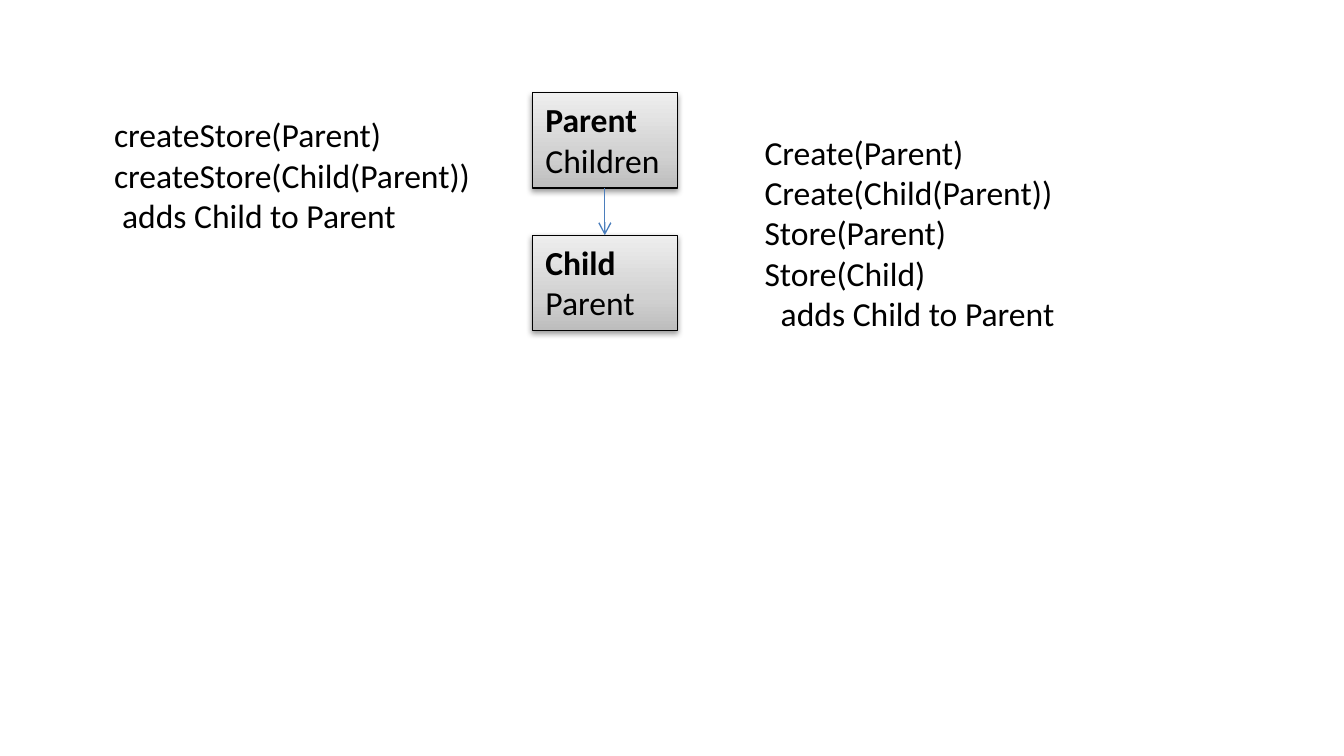
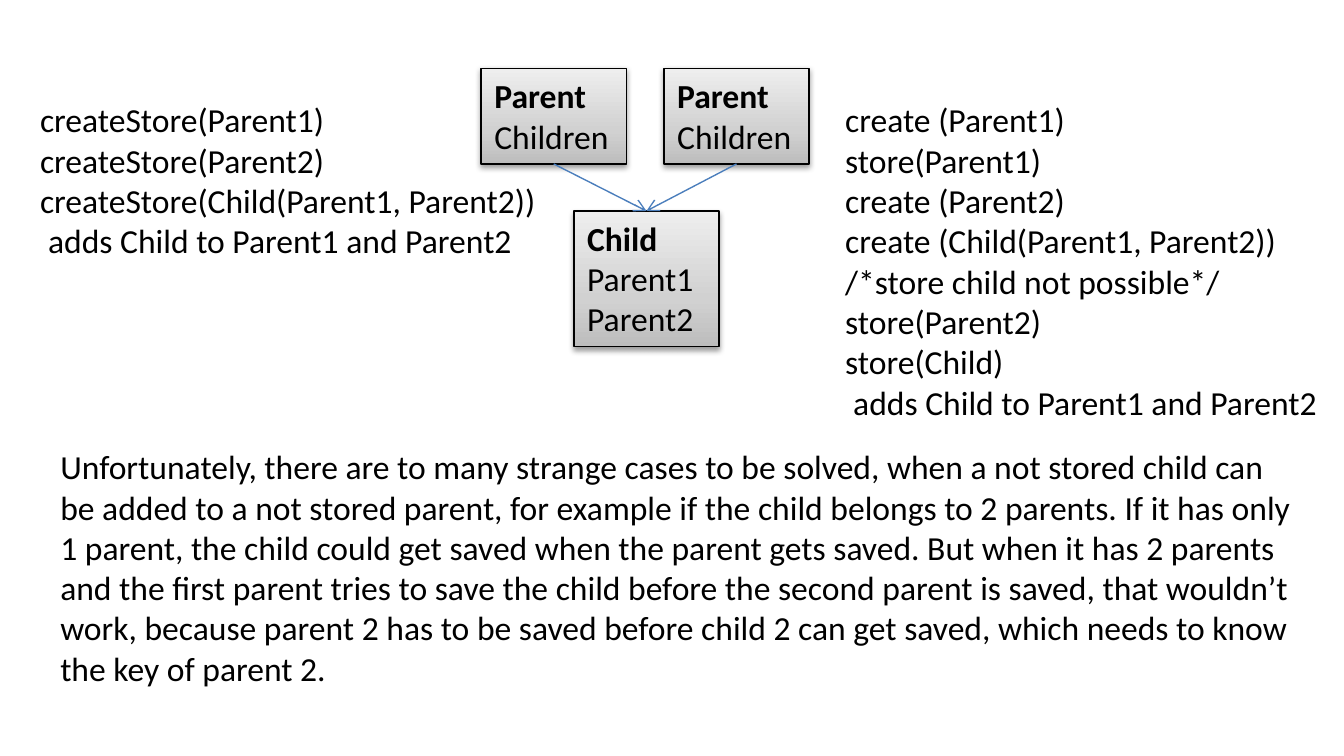
from copy import deepcopy
from lxml import etree
from pptx import Presentation
from pptx.dml.color import RGBColor
from pptx.enum.shapes import MSO_CONNECTOR, MSO_SHAPE
from pptx.enum.text import MSO_ANCHOR, MSO_AUTO_SIZE, PP_ALIGN
from pptx.oxml import parse_xml
from pptx.oxml.ns import nsdecls, qn
from pptx.util import Inches, Pt

RECT = MSO_SHAPE.RECTANGLE
STRAIGHT = MSO_CONNECTOR.STRAIGHT
LEFT, TOP = PP_ALIGN.LEFT, MSO_ANCHOR.TOP
FIT = MSO_AUTO_SIZE.SHAPE_TO_FIT_TEXT

BLACK = RGBColor(0x00, 0x00, 0x00)
ARROW = RGBColor(0x4B, 0x7E, 0xBC)
GRADIENT = [
    (0, RGBColor(0xBD, 0xBD, 0xBD)),
    (0.35, RGBColor(0xD1, 0xD1, 0xD1)),
    (1, RGBColor(0xEE, 0xEE, 0xEE)),
]
FONT, SIZE = "Calibri", Pt(18)
SLIDE_W = 10
BOX_W, LINE_H, PADDING = 1.08, 0.3, 0.11
SPACE_W = 0.06
TOP_SITE, BOTTOM_SITE = 0, 2

SLIDES = [
    {
        "boxes": [
            (3.96, 0.69, ["Parent", "Children"]),
            (3.96, 1.75, ["Child", "Parent"]),
        ],
        "arrows": [(0, 1)],
        "calls": [
            (0.75, 0.8, 2.88,
             ["createStore(Parent)", "createStore(Child(Parent))"],
             "adds Child to Parent", 1),
            (5.59, 0.93, 2.38,
             ["Create(Parent)", "Create(Child(Parent))", "Store(Parent)",
              "Store(Child)"],
             "adds Child to Parent", 2),
        ],
    },
    {
        "boxes": [
            (3.58, 0.51, ["Parent", "Children"]),
            (4.94, 0.51, ["Parent", "Children"]),
            (4.27, 1.57, ["Child", "Parent1", "Parent2"]),
        ],
        "arrows": [(0, 2), (1, 2)],
        "calls": [
            (0.2, 0.69, 3.93,
             ["createStore(Parent1)", "createStore(Parent2)",
              "createStore(Child(Parent1, Parent2))"],
             "adds Child to Parent1 and Parent2", 1),
            (6.19, 0.69, 3.75,
             ["create (Parent1)", "store(Parent1)", "create (Parent2)",
              "create (Child(Parent1, Parent2))",
              "/*store child not possible*/", "store(Parent2)",
              "store(Child)"],
             "adds Child to Parent1 and Parent2", 1),
        ],
        "comment": (
            0.35, 3.27, 9.45, 2.22,
            "Unfortunately, there are to many strange cases to be solved, "
            "when a not stored child can be added to a not stored parent, "
            "for example if the child belongs to 2 parents. If it has only "
            "1 parent, the child could get saved when the parent gets saved. "
            "But when it has 2 parents and the first parent tries to save the "
            "child before the second parent is saved, that wouldn\u2019t work, "
            "because parent 2 has to be saved before child 2 can get saved, "
            "which needs to know the key of parent 2."),
    },
]


def height(lines):
    return PADDING + LINE_H * len(lines)


def write(sp, lines, wrap):
    tf = sp.text_frame
    tf.text = "\n".join(lines)
    tf.word_wrap = wrap
    tf.auto_size = FIT
    tf.vertical_anchor = TOP
    for p in tf.paragraphs:
        p.alignment = LEFT
        for r in p.runs:
            r.font.name, r.font.size = FONT, SIZE
            r.font.color.rgb = BLACK
    return tf


def add_text(s, x, y, w, h, lines, wrap=False):
    sp = s.shapes.add_textbox(Inches(x), Inches(y), Inches(w), Inches(h))
    return write(sp, lines, wrap)


def add_calls(s, x, y, w, calls, note, spaces):
    lines = calls + [note]
    tf = add_text(s, x, y, w, height(lines), lines)
    pPr = tf.paragraphs[-1]._p.get_or_add_pPr()
    pPr.set("marL", str(Inches(SPACE_W * spaces)))


def add_box(s, x, y, lines):
    sp = s.shapes.add_shape(RECT, Inches(x), Inches(y), Inches(BOX_W),
                            Inches(height(lines)))
    sp.fill.gradient()
    sp.fill.gradient_angle = 90
    gs_list = sp._element.spPr.find(".//" + qn("a:gsLst"))
    gs_list.append(deepcopy(gs_list[0]))
    for stop, (position, color) in zip(sp.fill.gradient_stops, GRADIENT):
        stop.position = position
        stop.color.rgb = color
    sp.line.color.rgb, sp.line.width = BLACK, Pt(0.75)
    sp._element.spPr.append(parse_xml(
        f'<a:effectLst {nsdecls("a")}>'
        f'<a:outerShdw blurRad="{Pt(3.1)}" dist="{Pt(1.6)}" dir="5400000" '
        'rotWithShape="0"><a:srgbClr val="000000"><a:alpha val="38000"/>'
        '</a:srgbClr></a:outerShdw></a:effectLst>'))
    tf = write(sp, lines, True)
    for i, p in enumerate(tf.paragraphs):
        p.runs[0].font.bold = i == 0
    return sp


def add_arrow(s, parent, child):
    line = s.shapes.add_connector(STRAIGHT, 0, 0, 0, 0)
    line.begin_connect(parent, BOTTOM_SITE)
    line.end_connect(child, TOP_SITE)
    line.line.color.rgb, line.line.width = ARROW, Pt(0.75)
    spPr = line._element.spPr
    etree.SubElement(spPr.find(qn("a:ln")), qn("a:tailEnd"), type="arrow")
    etree.SubElement(spPr, qn("a:effectLst"))


prs = Presentation()
prs.slide_width, prs.slide_height = Inches(SLIDE_W), Inches(SLIDE_W * 9 / 16)
blank = prs.slide_layouts[6]
for content in SLIDES:
    s = prs.slides.add_slide(blank)
    boxes = [add_box(s, *box) for box in content["boxes"]]
    for start, end in content["arrows"]:
        add_arrow(s, boxes[start], boxes[end])
    for calls in content["calls"]:
        add_calls(s, *calls)
    if "comment" in content:
        x, y, w, h, text = content["comment"]
        add_text(s, x, y, w, h, [text], wrap=True)
prs.save("out.pptx")
